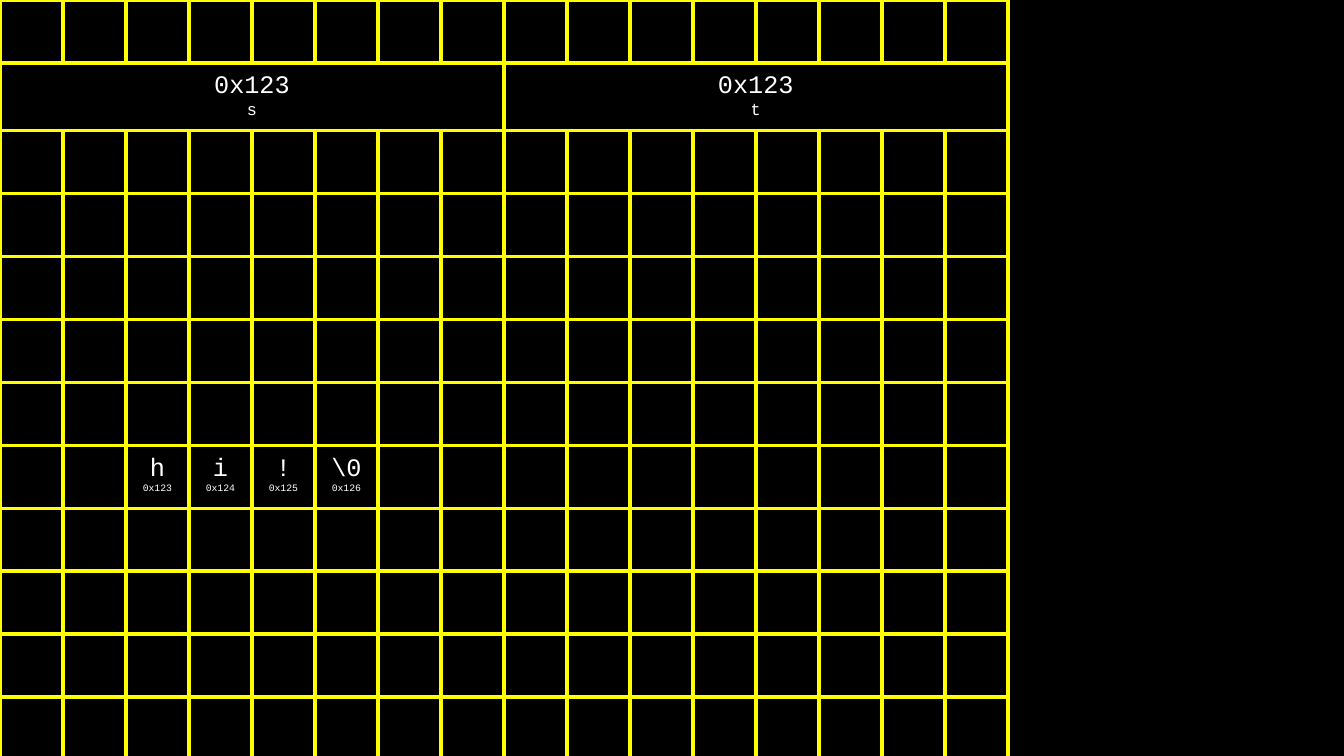
from lxml.etree import SubElement
from pptx import Presentation
from pptx.dml.color import RGBColor
from pptx.enum.text import PP_ALIGN
from pptx.oxml.ns import qn
from pptx.util import Emu, Pt

EMU_PER_PX = 12192000 / 1344
CELL_SIZE = 63
COLUMNS, ROWS = 16, 12
POINTER_ROW, POINTER_SPAN = 1, 8
STRING_ROW, STRING_COLUMN = 7, 2
POINTERS = [("0x123", "s"), ("0x123", "t")]
CHARACTERS = [("h", "0x123"), ("i", "0x124"), ("!", "0x125"), ("\\0", "0x126")]


def px(length):
    """Turn pixels into EMU."""
    return Emu(round(length * EMU_PER_PX))


def color(value):
    """Turn a hex string into a colour."""
    return RGBColor.from_string(value)


def style_cell(cell):
    """Give a cell yellow borders, even margins and no fill."""
    properties = cell._tc.get_or_add_tcPr()
    for side in ("a:lnL", "a:lnR", "a:lnT", "a:lnB"):
        line = SubElement(properties, qn(side), w=str(Pt(3)))
        fill = SubElement(line, qn("a:solidFill"))
        SubElement(fill, qn("a:srgbClr"), val="FFFF00")
    cell.fill.background()
    cell.margin_left = cell.margin_right = px(10)
    cell.margin_top = cell.margin_bottom = px(10)


def write_cell(cell, value, label, label_size):
    """Write a value with a smaller label beneath it."""
    frame = cell.text_frame
    lines = [(frame.paragraphs[0], value, 18), (frame.add_paragraph(), label, label_size)]
    for paragraph, text, size in lines:
        paragraph.alignment = PP_ALIGN.CENTER
        run = paragraph.add_run()
        run.text = text
        run.font.name = "Courier New"
        run.font.size = Pt(size)
        run.font.color.rgb = color("FFFFFF")


def add_memory_grid(slide, left, top, width, height):
    """Draw memory as a grid holding two pointers and one string."""
    table = slide.shapes.add_table(
        ROWS, COLUMNS, px(left), px(top), px(width), px(height)
    ).table
    table.first_row = table.horz_banding = False
    for column in table.columns:
        column.width = px(width / COLUMNS)
    for row in table.rows:
        row.height = px(height / ROWS)
    for cell in table.iter_cells():
        style_cell(cell)
    for index, (address, name) in enumerate(POINTERS):
        first = index * POINTER_SPAN
        cell = table.cell(POINTER_ROW, first)
        cell.merge(table.cell(POINTER_ROW, first + POINTER_SPAN - 1))
        write_cell(cell, address, name, 12)
    for column, (character, address) in enumerate(CHARACTERS, STRING_COLUMN):
        write_cell(table.cell(STRING_ROW, column), character, address, 7)


def main():
    """Build and save the slide."""
    presentation = Presentation()
    presentation.slide_width, presentation.slide_height = px(1344), px(756)
    slide = presentation.slides.add_slide(presentation.slide_layouts[6])
    slide.background.fill.solid()
    slide.background.fill.fore_color.rgb = color("000000")
    add_memory_grid(slide, 0, 0, COLUMNS * CELL_SIZE, ROWS * CELL_SIZE)
    presentation.save("out.pptx")


if __name__ == "__main__":
    main()
